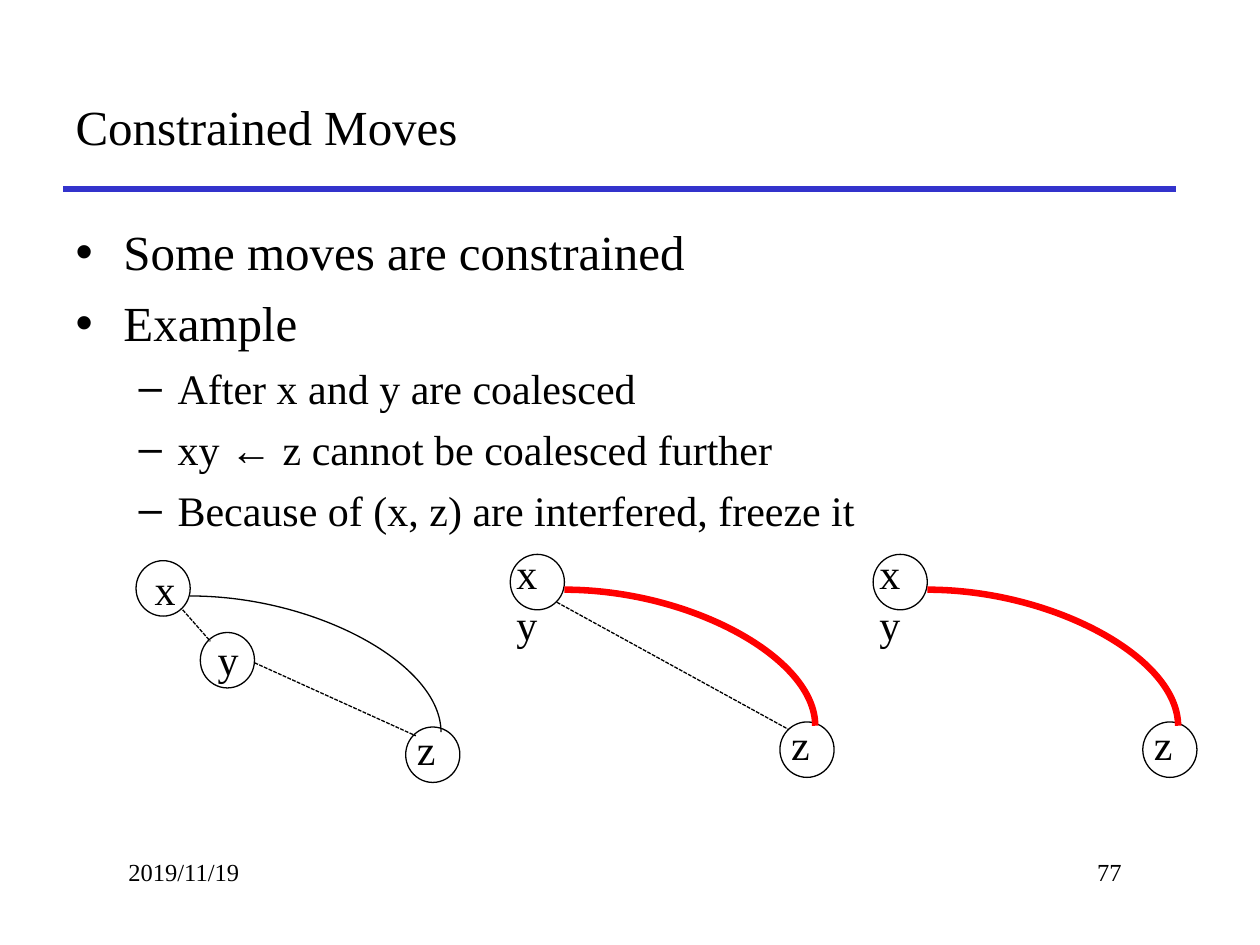
import lxml.etree
import pptx
import pptx.dml.color
import pptx.enum.dml
import pptx.enum.shapes
import pptx.enum.text
import pptx.oxml.ns
import pptx.util

Inches = pptx.util.Inches
Pt = pptx.util.Pt
qn = pptx.oxml.ns.qn
Align = pptx.enum.text.PP_ALIGN
Anchor = pptx.enum.text.MSO_ANCHOR
Connector = pptx.enum.shapes.MSO_CONNECTOR

FONT = "Times New Roman"
BLACK, BLUE, RED = "000000", "3333CC", "FF0000"

TITLE = "Constrained Moves"
POINTS = [
    (0, "Some moves are constrained"),
    (0, "Example"),
    (1, "After x and y are coalesced"),
    (1, "xy ← z cannot be coalesced further"),
    (1, "Because of (x, z) are interfered, freeze it"),
]
LEVELS = [
    {"bullet": "•", "margin": 0.38, "hanging": 0.38, "size": 28, "before": 7},
    {"bullet": "–", "margin": 0.81, "hanging": 0.31, "size": 24, "before": 6},
]
FOOTERS = [("2019/11/19", 0.92, Align.LEFT), ("77", 6.92, Align.RIGHT)]

NODE_WIDTH, NODE_HEIGHT = 0.43, 0.44
LABELS = {
    "x": (0.05, -0.03, 0.36),
    "y": (0.04, -0.04, 0.36),
    "z": (-0.01, -0.08, 0.35),
    "xy": (-0.05, -0.1, 0.52),
}
ARC_DROP, ARC_WIDTH, ARC_HEIGHT = 0.28, 1.99, 1.08
COALESCED = [("xy", 4.05, 4.4), ("z", 6.19, 5.73)]
FROZEN_SHIFT = 2.88
GRAPHS = [
    {"nodes": [("x", 1.08, 4.45), ("y", 1.59, 5.02), ("z", 3.22, 5.77)],
     "moves": [(1.45, 4.84, 1.67, 5.09), (2.02, 5.26, 3.3, 5.84)],
     "arc": (BLACK, 0.75)},
    {"nodes": COALESCED, "moves": [(4.42, 4.78, 6.26, 5.79)], "arc": (RED, 3.75)},
    {"nodes": [(name, left + FROZEN_SHIFT, top) for name, left, top in COALESCED],
     "moves": [], "arc": (RED, 3.75)},
]


def rgb(value):
    return pptx.dml.color.RGBColor.from_string(value)


def write(paragraph, text, size=24, color=BLACK, align=Align.LEFT,
          bullet=None, margin=0, hanging=0, before=0):
    paragraph.text = text
    paragraph.alignment = align
    paragraph.space_before = Pt(before)
    if bullet:
        properties = paragraph._p.get_or_add_pPr()
        properties.set("marL", str(Inches(margin)))
        properties.set("indent", str(-Inches(hanging)))
        lxml.etree.SubElement(properties, qn("a:buChar")).set("char", bullet)
    paragraph.font.name = FONT
    paragraph.font.size = Pt(size)
    paragraph.font.color.rgb = rgb(color)


def add_label(slide, text, left, top, width, **style):
    label = slide.shapes.add_textbox(*map(Inches, (left, top, width, 0.5)))
    label.text_frame.word_wrap = True
    write(label.text_frame.paragraphs[0], text, **style)


def place(placeholder, *box, anchor):
    placeholder.left, placeholder.top, placeholder.width, placeholder.height = map(Inches, box)
    frame = placeholder.text_frame
    frame.auto_size = pptx.enum.text.MSO_AUTO_SIZE.NONE
    frame.vertical_anchor = anchor
    return frame


def add_edge(slide, ends, color=BLACK, width=0.75, kind=Connector.STRAIGHT, dashed=False):
    edge = slide.shapes.add_connector(kind, *map(Inches, ends))
    edge.line.color.rgb = rgb(color)
    edge.line.width = Pt(width)
    if dashed:
        edge.line.dash_style = pptx.enum.dml.MSO_LINE.SQUARE_DOT
    properties = edge._element.spPr
    if kind == Connector.CURVE:
        properties.find(qn("a:prstGeom")).set("prst", "curvedConnector2")
    lxml.etree.SubElement(properties, qn("a:effectLst"))


def add_node(slide, name, left, top):
    node = slide.shapes.add_shape(
        pptx.enum.shapes.MSO_SHAPE.OVAL, *map(Inches, (left, top, NODE_WIDTH, NODE_HEIGHT)))
    node.shadow.inherit = False
    node.fill.background()
    node.line.color.rgb = rgb(BLACK)
    node.line.width = Pt(0.75)
    shift, lift, width = LABELS[name]
    add_label(slide, name, left + shift, top + lift, width)


def add_graph(slide, nodes, moves, arc):
    for node in nodes:
        add_node(slide, *node)
    for move in moves:
        add_edge(slide, move, dashed=True)
    color, width = arc
    start, top = nodes[0][1] + NODE_WIDTH, nodes[0][2] + ARC_DROP
    add_edge(slide, (start, top, start + ARC_WIDTH, top + ARC_HEIGHT),
             color=color, width=width, kind=Connector.CURVE)


def main():
    deck = pptx.Presentation()
    deck.slide_width, deck.slide_height = Inches(10), Inches(7.5)
    slide = deck.slides.add_slide(deck.slide_layouts[1])
    add_edge(slide, (0.5, 1.5, 9.33, 1.5), color=BLUE, width=3)

    heading = place(slide.shapes.title, 0.5, 0.5, 8.83, 1, anchor=Anchor.MIDDLE)
    write(heading.paragraphs[0], TITLE, size=28)

    body = place(slide.placeholders[1], 0.5, 1.71, 9.08, 4.83, anchor=Anchor.TOP)
    for index, (level, point) in enumerate(POINTS):
        paragraph = body.add_paragraph() if index else body.paragraphs[0]
        paragraph.level = level
        style = LEVELS[level] if index else {**LEVELS[level], "before": 0}
        write(paragraph, point, **style)

    for text, left, align in FOOTERS:
        add_label(slide, text, left, 6.75, 2.08, size=14, align=align)
    for graph in GRAPHS:
        add_graph(slide, **graph)
    deck.save("out.pptx")


if __name__ == "__main__":
    main()
